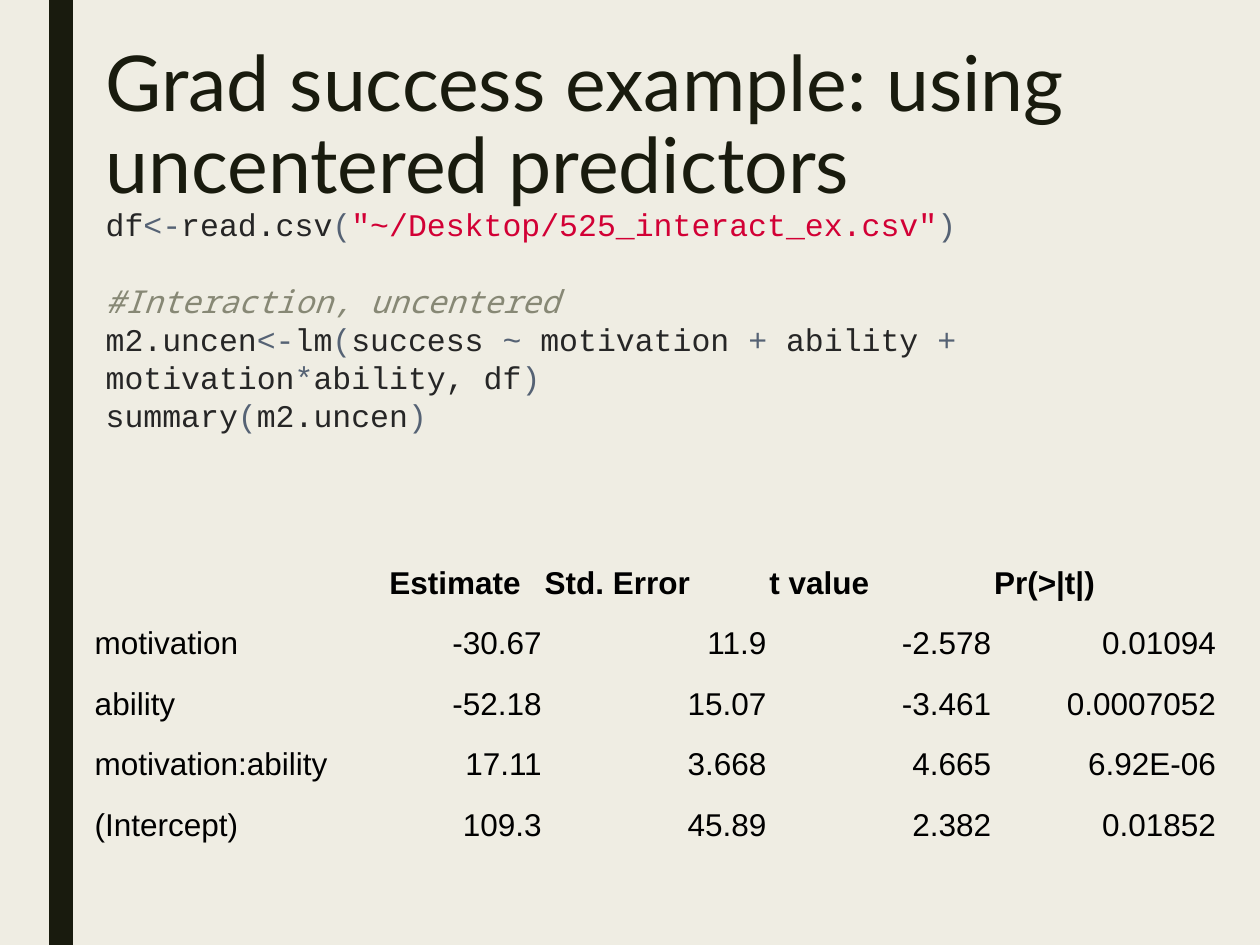
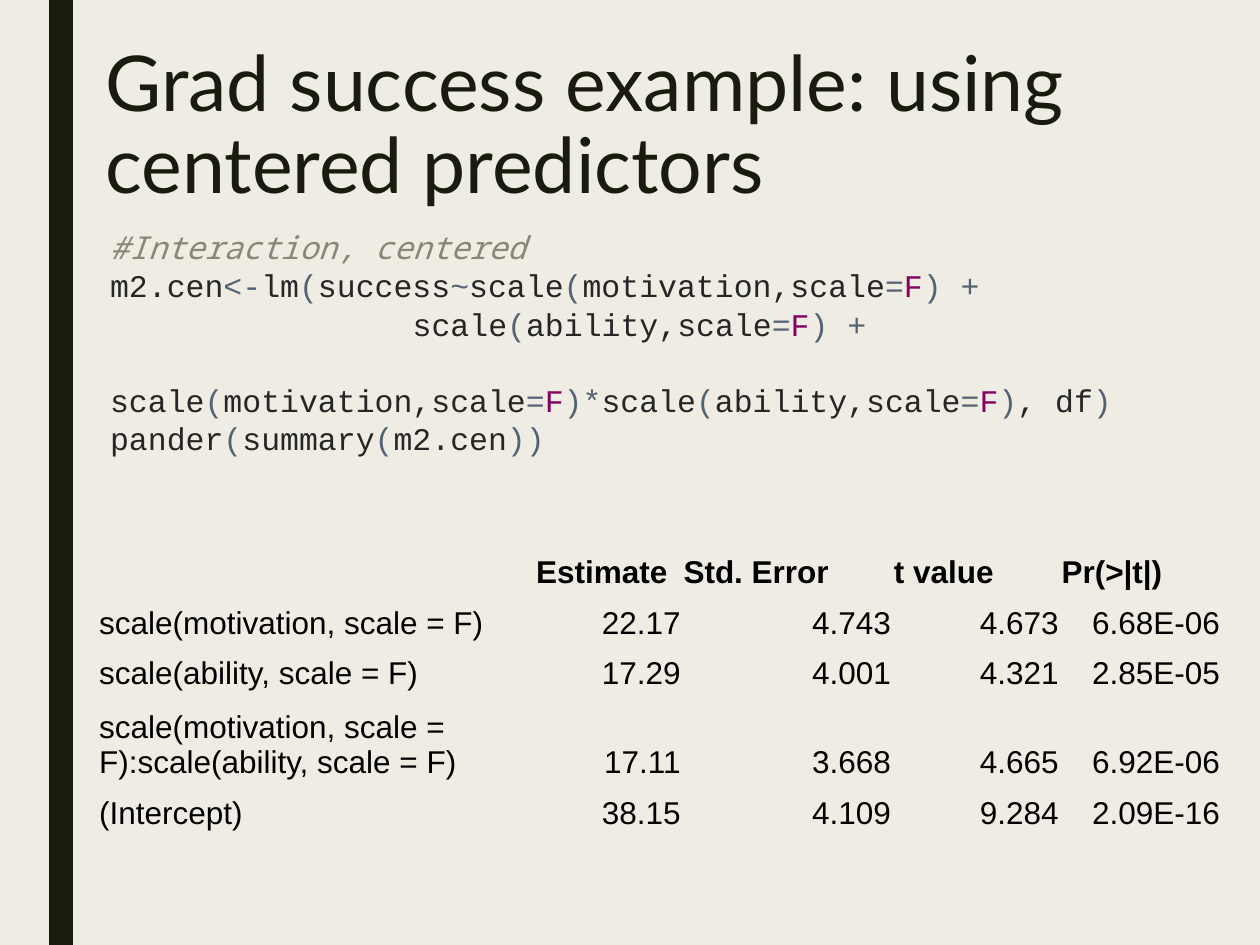
from dataclasses import dataclass
from itertools import groupby
from typing import Any, Iterator

from pptx import Presentation
from pptx.dml.color import RGBColor
from pptx.enum.shapes import MSO_SHAPE
from pptx.enum.text import MSO_ANCHOR, PP_ALIGN
from pptx.util import Cm, Pt

RECTANGLE = MSO_SHAPE.RECTANGLE
TOP, BOTTOM = MSO_ANCHOR.TOP, MSO_ANCHOR.BOTTOM
LEFT, RIGHT = PP_ALIGN.LEFT, PP_ALIGN.RIGHT
NO_STYLE_NO_GRID = "{2D5ABB26-0587-4C30-8999-92F81FD0307C}"
BLANK_LAYOUT = 6
OPERATORS = "<-(~+*=)"
STATISTICS = ("", "Estimate", "Std. Error", "t value", "Pr(>|t|)")


@dataclass(frozen=True)
class Theme:
    paper: str = "EFEDE3"
    ink: str = "191B0E"
    table_text: str = "000000"
    code: str = "262626"
    operator: str = "556274"
    string: str = "D20035"
    constant: str = "850060"
    comment: str = "878875"
    title_font: str = "Lato"
    code_font: str = "Courier New"
    comment_font: str = "Noto Sans Mono"
    table_font: str = "Arial"
    title_size: float = 44
    body_size: float = 18
    title_spacing: float = 0.89
    code_spacing: float = 21.8


@dataclass(frozen=True)
class CodeLine:
    text: str
    indent: float = 0
    gap_before: bool = False


@dataclass(frozen=True)
class Box:
    left: float
    top: float
    width: float
    height: float

    def lengths(self) -> tuple:
        return Cm(self.left), Cm(self.top), Cm(self.width), Cm(self.height)


@dataclass(frozen=True)
class ModelSlide:
    title: str
    title_box: Box
    code_box: Box
    code: tuple[CodeLine, ...]
    table_box: Box
    column_widths: tuple[float, ...]
    row_heights: tuple[float, ...]
    coefficients: tuple[tuple[str, ...], ...]


THEME = Theme()
BAND = Box(0.99, 0, 0.48, 19.05)

UNCENTERED = ModelSlide(
    title="Grad success example: using uncentered predictors",
    title_box=Box(1.88, 0.79, 22.66, 4.11),
    code_box=Box(1.88, 4.01, 22.66, 4.83),
    code=(
        CodeLine('df<-read.csv("~/Desktop/525_interact_ex.csv")'),
        CodeLine("#Interaction, uncentered", gap_before=True),
        CodeLine("m2.uncen<-lm(success ~ motivation + ability + motivation*ability, df)"),
        CodeLine("summary(m2.uncen)"),
    ),
    table_box=Box(1.88, 11.02, 22.64, 6.1),
    column_widths=(5.94, 3.13, 4.53, 4.53, 4.53),
    row_heights=(1.22,) * 5,
    coefficients=(
        ("motivation", "-30.67", "11.9", "-2.578", "0.01094"),
        ("ability", "-52.18", "15.07", "-3.461", "0.0007052"),
        ("motivation:ability", "17.11", "3.668", "4.665", "6.92E-06"),
        ("(Intercept)", "109.3", "45.89", "2.382", "0.01852"),
    ),
)

CENTERED = ModelSlide(
    title="Grad success example: using centered predictors",
    title_box=Box(1.88, 0.79, 23.29, 4.11),
    code_box=Box(1.97, 4.47, 22.58, 4.83),
    code=(
        CodeLine("#Interaction, centered"),
        CodeLine("m2.cen<-lm(success~scale(motivation,scale=F) +"),
        CodeLine("scale(ability,scale=F) +", indent=6.1),
        CodeLine("scale(motivation,scale=F)*scale(ability,scale=F), df)", gap_before=True),
        CodeLine("pander(summary(m2.cen))"),
    ),
    table_box=Box(1.97, 11, 22.66, 5.87),
    column_widths=(8.81, 2.97, 4.24, 3.38, 3.25),
    row_heights=(1.02, 1.02, 1.02, 1.78, 1.02),
    coefficients=(
        ("scale(motivation, scale = F)", "22.17", "4.743", "4.673", "6.68E-06"),
        ("scale(ability, scale = F)", "17.29", "4.001", "4.321", "2.85E-05"),
        ("scale(motivation, scale = F):scale(ability, scale = F)",
         "17.11", "3.668", "4.665", "6.92E-06"),
        ("(Intercept)", "38.15", "4.109", "9.284", "2.09E-16"),
    ),
)


def apply_format(target: Any, values: dict[str, Any]) -> None:
    for attribute, value in values.items():
        setattr(target, attribute, value)


def style_font(font: Any, name: str, size: float, color: str, **extras: bool) -> None:
    apply_format(font, {"name": name, "size": Pt(size), **extras})
    font.color.rgb = RGBColor.from_string(color)


def add_text_frame(slide: Any, box: Box) -> Any:
    frame = slide.shapes.add_textbox(*box.lengths()).text_frame
    apply_format(frame, {"word_wrap": True, "vertical_anchor": TOP})
    return frame


def draw_background(slide: Any) -> None:
    slide.background.fill.solid()
    slide.background.fill.fore_color.rgb = RGBColor.from_string(THEME.paper)
    band = slide.shapes.add_shape(RECTANGLE, *BAND.lengths())
    band.shadow.inherit = False
    band.fill.solid()
    band.fill.fore_color.rgb = RGBColor.from_string(THEME.ink)
    band.line.fill.background()


def draw_title(slide: Any, title: str, box: Box) -> None:
    paragraph = add_text_frame(slide, box).paragraphs[0]
    paragraph.line_spacing = THEME.title_spacing
    run = paragraph.add_run()
    run.text = title
    style_font(run.font, THEME.title_font, THEME.title_size, THEME.ink)


def token_colors(text: str) -> Iterator[str]:
    in_string = False
    for character in text:
        if character == '"':
            in_string = not in_string
        if in_string or character == '"':
            yield THEME.string
        elif character in OPERATORS:
            yield THEME.operator
        else:
            yield THEME.constant if character == "F" else THEME.code


def tokens(text: str) -> Iterator[tuple[str, str]]:
    colored = zip(token_colors(text), text)
    for color, group in groupby(colored, key=lambda pair: pair[0]):
        yield color, "".join(character for _, character in group)


def draw_code(slide: Any, code: tuple[CodeLine, ...], box: Box) -> None:
    frame = add_text_frame(slide, box)
    for index, line in enumerate(code):
        paragraph = frame.add_paragraph() if index else frame.paragraphs[0]
        apply_format(paragraph, {
            "line_spacing": Pt(THEME.code_spacing),
            "space_before": Pt(THEME.code_spacing if line.gap_before else 0),
        })
        if line.indent:
            paragraph._p.get_or_add_pPr().set("marL", str(Cm(line.indent)))
        is_comment = line.text.startswith("#")
        font_name = THEME.comment_font if is_comment else THEME.code_font
        parts = [(THEME.comment, line.text)] if is_comment else tokens(line.text)
        for color, text in parts:
            run = paragraph.add_run()
            run.text = text
            style_font(run.font, font_name, THEME.body_size, color, italic=is_comment)


def draw_coefficients(slide: Any, model: ModelSlide) -> None:
    rows = (STATISTICS, *model.coefficients)
    frame = slide.shapes.add_table(len(rows), len(STATISTICS), *model.table_box.lengths())
    table = frame.table
    apply_format(table, {"first_row": False, "horz_banding": False})
    table._tbl.tblPr.find("{*}tableStyleId").text = NO_STYLE_NO_GRID
    for column, width in zip(table.columns, model.column_widths):
        column.width = Cm(width)
    for row, height in zip(table.rows, model.row_heights):
        row.height = Cm(height)
    for row_index, values in enumerate(rows):
        for column_index, value in enumerate(values):
            cell = table.cell(row_index, column_index)
            cell.fill.background()
            apply_format(cell, {
                "text": value,
                "vertical_anchor": BOTTOM,
                "margin_left": Cm(0.03),
                "margin_right": Cm(0.03),
                "margin_top": Cm(0.13),
                "margin_bottom": Cm(0.13),
            })
            paragraph = cell.text_frame.paragraphs[0]
            paragraph.alignment = RIGHT if row_index and column_index else LEFT
            style_font(paragraph.font, THEME.table_font, THEME.body_size,
                       THEME.table_text, bold=row_index == 0)
            for run in paragraph.runs:
                style_font(run.font, THEME.table_font, THEME.body_size,
                           THEME.table_text, bold=row_index == 0)


def main() -> None:
    deck = Presentation()
    apply_format(deck, {"slide_width": Cm(25.4), "slide_height": Cm(19.05)})
    for model in (UNCENTERED, CENTERED):
        slide = deck.slides.add_slide(deck.slide_layouts[BLANK_LAYOUT])
        draw_background(slide)
        draw_title(slide, model.title, model.title_box)
        draw_code(slide, model.code, model.code_box)
        draw_coefficients(slide, model)
    deck.save("out.pptx")


if __name__ == "__main__":
    main()
